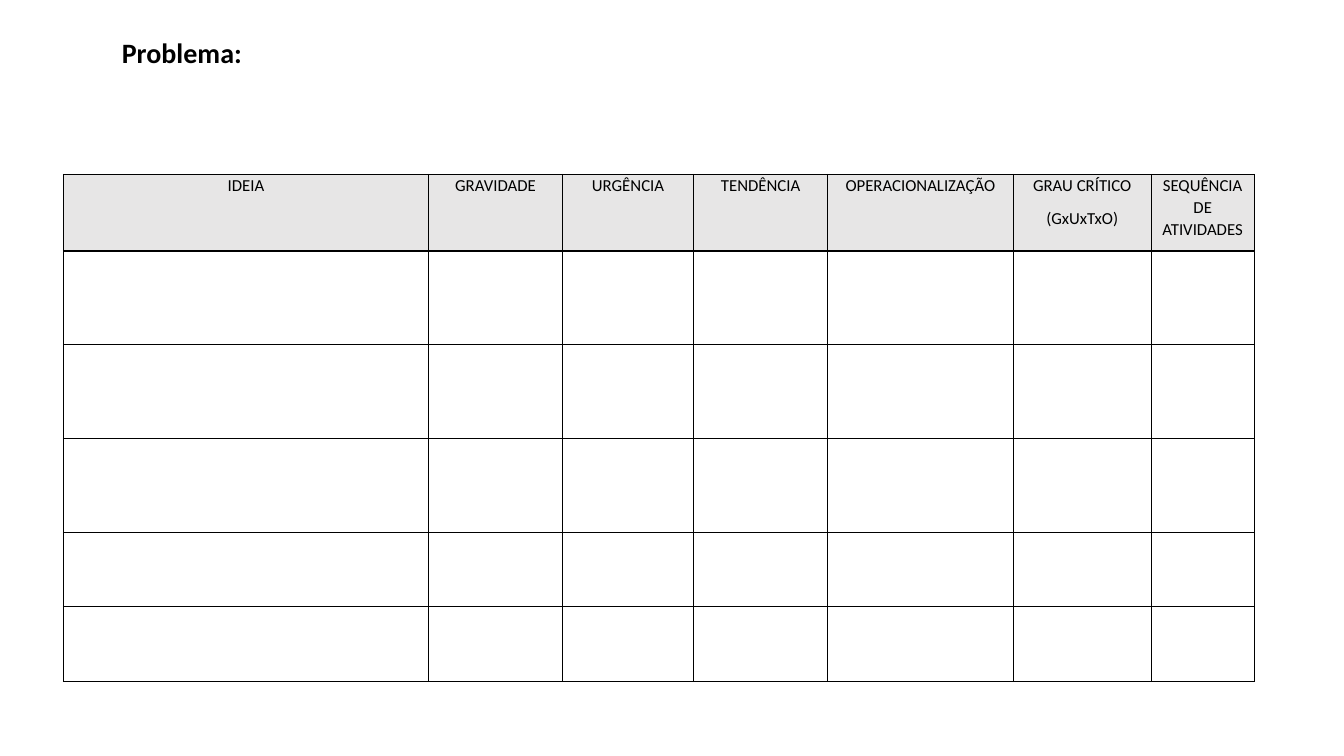
from dataclasses import dataclass

from lxml.etree import fromstring
from pptx import Presentation
from pptx.dml.color import RGBColor
from pptx.enum.text import PP_ALIGN
from pptx.oxml.ns import nsdecls
from pptx.util import Inches, Pt


@dataclass(frozen=True)
class Theme:
    face: str = "Calibri"
    ink: str = "000000"
    head: str = "E7E6E6"
    title: int = 20
    label: int = 12
    border: int = 1


class Page:
    def __init__(self, deck, theme):
        self.theme = theme
        self.slide = deck.slides.add_slide(deck.slide_layouts[6])

    def style(self, para, size, align, bold=False):
        para.alignment = align
        font = para.font
        font.name, font.size, font.bold = self.theme.face, Pt(size), bold
        font.color.rgb = RGBColor.from_string(self.theme.ink)

    def title(self, text, box):
        frame = self.slide.shapes.add_textbox(*map(Inches, box)).text_frame
        frame.word_wrap = True
        frame.text = text
        self.style(frame.paragraphs[0], self.theme.title, PP_ALIGN.JUSTIFY, True)

    def edge(self, cell):
        props = cell._tc.get_or_add_tcPr()
        for spot, side in enumerate(("lnL", "lnR", "lnT", "lnB")):
            props.insert(spot, fromstring(
                f'<a:{side} {nsdecls("a")} w="{Pt(self.theme.border)}"><a:solidFill>'
                f'<a:srgbClr val="{self.theme.ink}"/></a:solidFill></a:{side}>'))

    def label(self, cell, text):
        cell.margin_left = cell.margin_right = Inches(0.07)
        cell.margin_top = cell.margin_bottom = 0
        cell.fill.solid()
        cell.fill.fore_color.rgb = RGBColor.from_string(self.theme.head)
        cell.text = text
        for para in cell.text_frame.paragraphs:
            self.style(para, self.theme.label, PP_ALIGN.CENTER)
            para.line_spacing = 1.07
            para.space_after = Pt(8)

    def table(self, heads, left, top, widths, heights):
        table = self.slide.shapes.add_table(
            len(heights), len(widths), Inches(left), Inches(top),
            Inches(sum(widths)), Inches(sum(heights))).table
        table.horz_banding = False
        for col, width in zip(table.columns, widths):
            col.width = Inches(width)
        for row, height in zip(table.rows, heights):
            row.height = Inches(height)
        for cell in table.iter_cells():
            cell.fill.background()
        for spot, text in enumerate(heads):
            self.label(table.cell(0, spot), text)
        for cell in table.iter_cells():
            self.edge(cell)


def main():
    deck = Presentation()
    deck.slide_width, deck.slide_height = Inches(13.33), Inches(7.5)
    page = Page(deck, Theme())
    page.title("Problema:", (1.11, 0.3, 10.73, 0.64))
    heads = ("IDEIA", "GRAVIDADE", "URGÊNCIA", "TENDÊNCIA", "OPERACIONALIZAÇÃO",
             "GRAU CRÍTICO\n(GxUxTxO)", "SEQUÊNCIA DE ATIVIDADES")
    widths = (3.62, 1.33, 1.3, 1.33, 1.84, 1.37, 1.02)
    heights = [0.76] + [0.93] * 3 + [0.74] * 2
    page.table(heads, 0.63, 1.73, widths, heights)
    deck.save("out.pptx")


if __name__ == "__main__":
    main()
